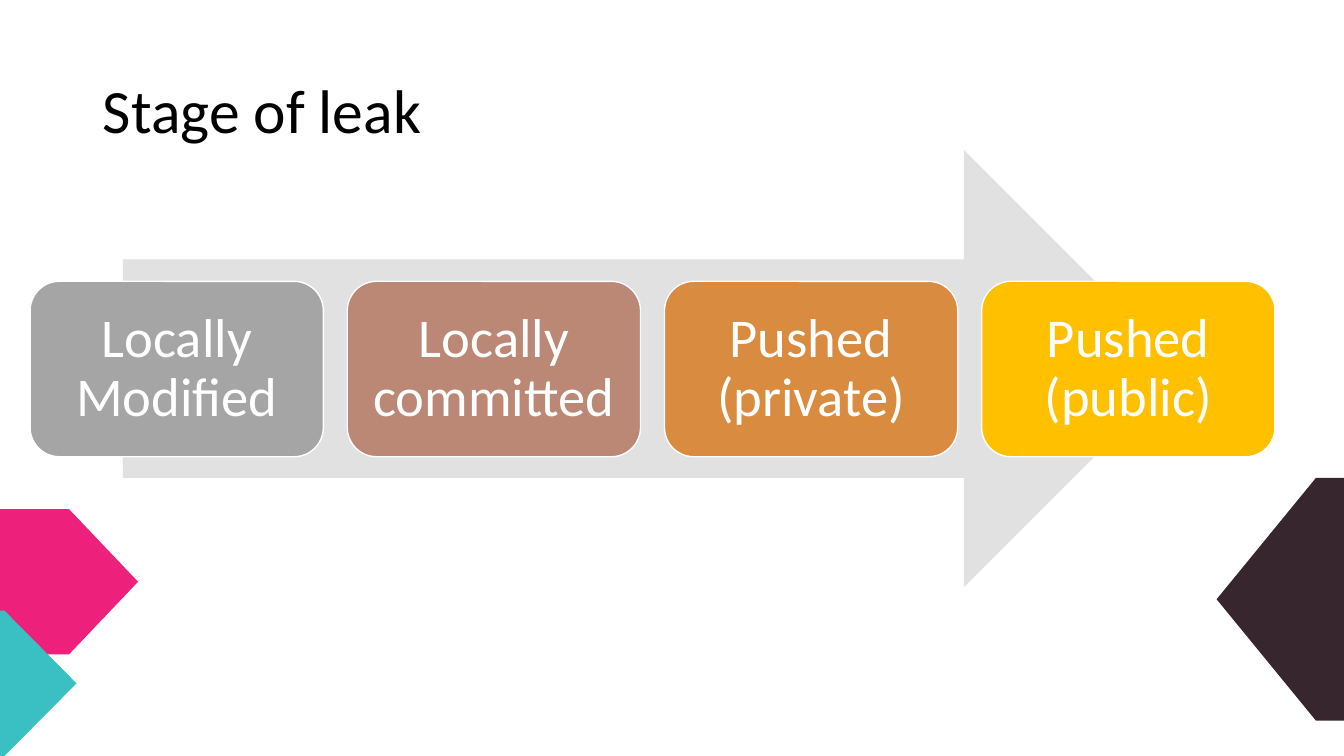
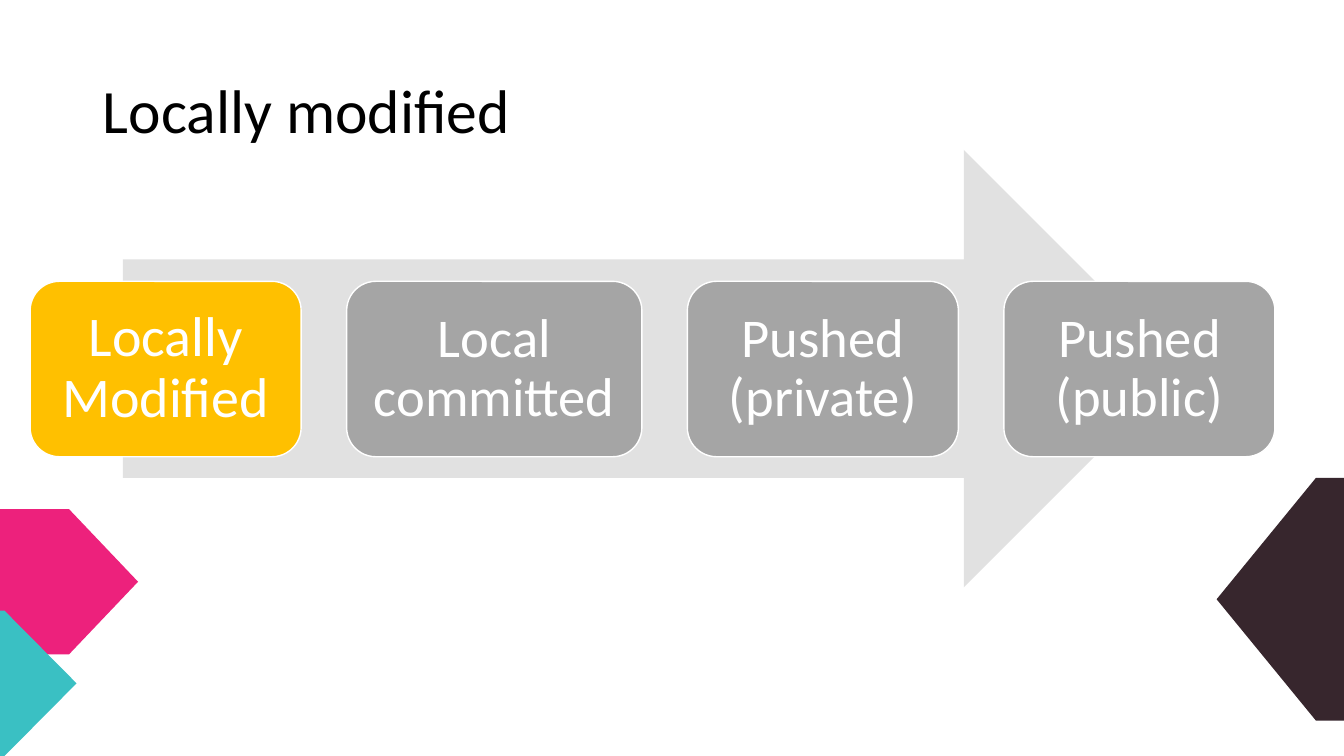
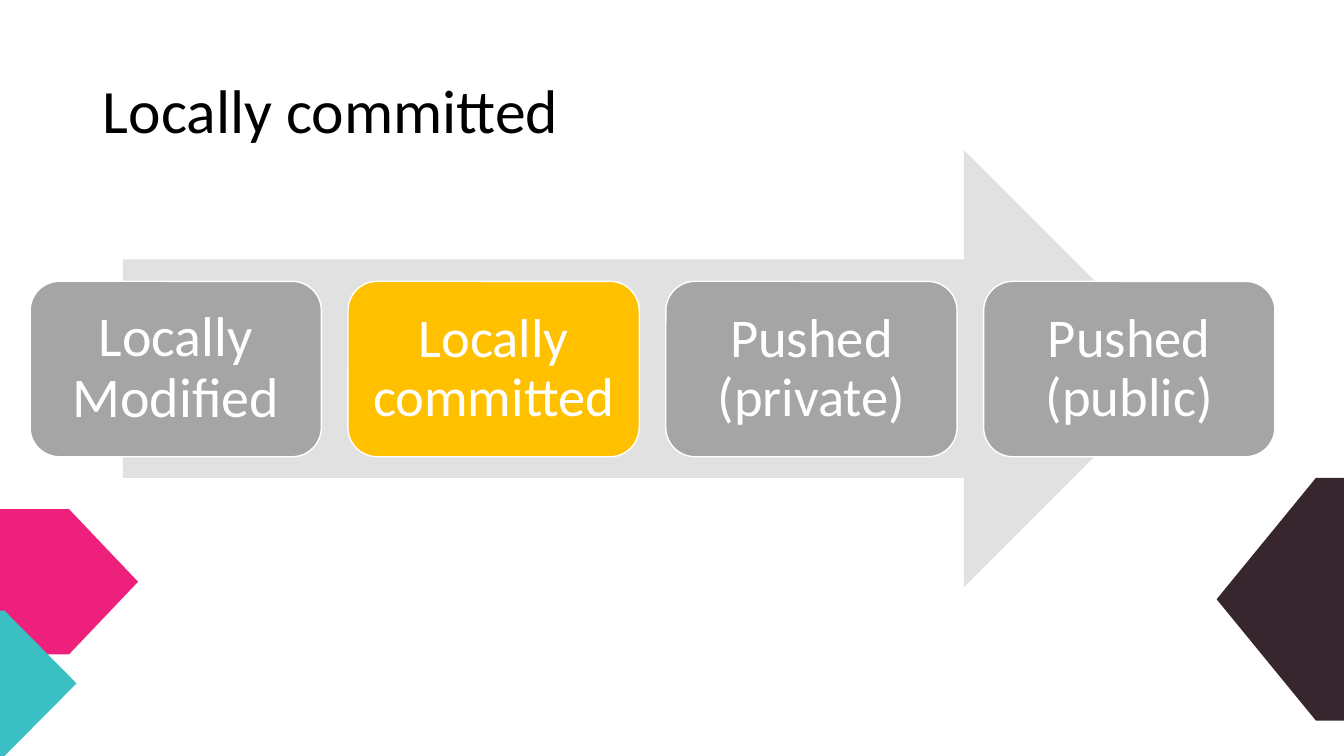
"""Build three slides that follow a leak through its four stages."""
from pptx import Presentation
from pptx import util as u
from pptx.dml.color import RGBColor
from pptx.enum import shapes, text

FONT = "Calibri"
BLACK, WHITE = "000000", "FFFFFF"
GREY, GOLD = "A5A5A5", "FFC000"
ARROW_GREY = "E1E1E1"
SLIDE_SIZE = (33.87, 19.05)
TITLE_BOX = (2.34, 1.02, 29.21, 3.68)
ARROW_BOX = (3.1, 3.78, 26.7, 11.02)
ROW_LEFT, ROW_TOP, ROW_WIDTH, ROW_HEIGHT = 0.76, 7.09, 31.37, 4.42

DECORATIONS = [
    {"box": (0, 12.83, 3.48, 3.66), "color": "ED217C", "point": 0.5, "turn": 0},
    {"box": (0, 15.39, 1.93, 3.66), "color": "3AC0C3", "point": 0.94, "turn": 0},
    {"box": (30.66, 12.04, 3.21, 6.12), "color": "37262D", "point": 0.78, "turn": 180},
]

MODIFIED, COMMITTED = "Locally Modified", "Locally committed"
PRIVATE, PUBLIC = "Pushed (private)", "Pushed (public)"

SLIDES = [
    {"title": "Stage of leak",
     "labels": [MODIFIED, COMMITTED, PRIVATE, PUBLIC],
     "colors": [GREY, "BB8876", "D98C3F", GOLD],
     "widths": [7.39] * 4,
     "sizes": [39] * 4},
    {"title": "Locally modified",
     "labels": [MODIFIED, "Local committed", PRIVATE, PUBLIC],
     "colors": [GOLD, GREY, GREY, GREY],
     "widths": [6.83, 7.44, 6.83, 6.83],
     "sizes": [40, 39, 39, 39]},
    {"title": "Locally committed",
     "labels": [MODIFIED, COMMITTED, PRIVATE, PUBLIC],
     "colors": [GREY, GOLD, GREY, GREY],
     "widths": [7.34] * 4,
     "sizes": [40, 39, 39, 39]},
]


def rgb(color):
    return RGBColor.from_string(color)


def add_block(slide, kind, box, color, line=None):
    shape = slide.shapes.add_shape(kind, *map(u.Cm, box))
    shape.shadow.inherit = False
    shape.fill.solid()
    shape.fill.fore_color.rgb = rgb(color)
    if line:
        shape.line.color.rgb = rgb(line)
        shape.line.width = u.Pt(1)
    else:
        shape.line.fill.background()
    return shape


def set_text(shape, words, size, color, align):
    frame = shape.text_frame
    frame.text = words
    frame.word_wrap = True
    frame.auto_size = text.MSO_AUTO_SIZE.NONE
    frame.vertical_anchor = text.MSO_ANCHOR.MIDDLE
    paragraph = frame.paragraphs[0]
    paragraph.alignment = align
    paragraph.line_spacing = 0.9
    paragraph.font.name = FONT
    paragraph.font.size = u.Pt(size)
    paragraph.font.color.rgb = rgb(color)


def prepare_layout(layout):
    title, *footers = layout.placeholders
    for footer in footers:
        layout.shapes.element.remove(footer.element)
    title.left, title.top, title.width, title.height = map(u.Cm, TITLE_BOX)


def decorate_layout(layout, slide):
    for decoration in DECORATIONS:
        shape = add_block(slide, shapes.MSO_SHAPE.PENTAGON,
                          decoration["box"], decoration["color"])
        shape.adjustments[0] = decoration["point"]
        shape.rotation = decoration["turn"]
        layout.shapes.element.append(shape.element)


def add_stages(slide, content):
    add_block(slide, shapes.MSO_SHAPE.RIGHT_ARROW, ARROW_BOX, ARROW_GREY)
    widths = content["widths"]
    gap = (ROW_WIDTH - sum(widths)) / (len(widths) - 1)
    left = ROW_LEFT
    for label, color, width, size in zip(
            content["labels"], content["colors"], widths, content["sizes"]):
        stage = add_block(slide, shapes.MSO_SHAPE.ROUNDED_RECTANGLE,
                          (left, ROW_TOP, width, ROW_HEIGHT), color, WHITE)
        set_text(stage, label, size, WHITE, text.PP_ALIGN.CENTER)
        stage.text_frame.margin_left = stage.text_frame.margin_right = u.Cm(0.25)
        left += width + gap


def main():
    presentation = Presentation()
    presentation.slide_width, presentation.slide_height = map(u.Cm, SLIDE_SIZE)
    layout = presentation.slide_layouts.get_by_name("Title Only")
    prepare_layout(layout)
    for number, content in enumerate(SLIDES):
        slide = presentation.slides.add_slide(layout)
        if number == 0:
            decorate_layout(layout, slide)
        set_text(slide.shapes.title, content["title"], 44, BLACK, text.PP_ALIGN.LEFT)
        add_stages(slide, content)
    presentation.save("out.pptx")


if __name__ == "__main__":
    main()
